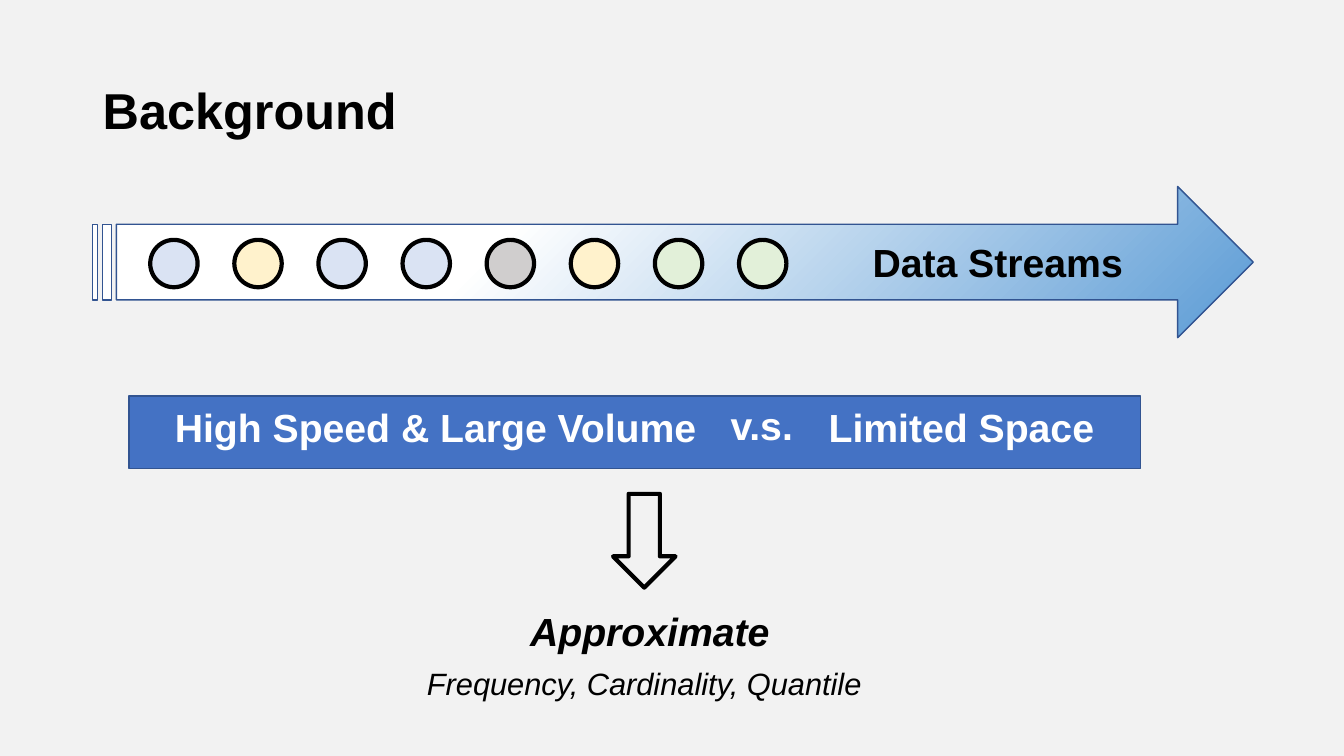
"""Build the Background slide about data streams."""
from pptx import Presentation, oxml
from pptx import util as u
from pptx.dml import color
from pptx.enum import shapes, text
from pptx.oxml import ns

KIND = shapes.MSO_SHAPE
INK, EDGE, WHITE = "000000", "325491", "FFFFFF"


def rgb(code):
    return color.RGBColor.from_string(code)


class Page:
    """Hold the style and the current slide."""

    font = "Arial"

    def __init__(self, deck, back):
        self.slide = deck.slides.add_slide(deck.slide_layouts[6])
        fill = self.slide.background.fill
        fill.solid()
        fill.fore_color.rgb = rgb(back)

    def shape(self, kind, box, fill=None, line=INK, width=3):
        item = self.slide.shapes.add_shape(kind, *map(u.Inches, box))
        item.shadow.inherit = False
        item.line.color.rgb = rgb(line)
        item.line.width = u.Pt(width)
        if fill:
            item.fill.solid()
            item.fill.fore_color.rgb = rgb(fill)
        else:
            item.fill.background()
        return item

    def fade(self, item, stops):
        item.fill.gradient()
        props = item._element.spPr
        marks = "".join(
            f'<a:gs pos="{at * 1000}"><a:srgbClr val="{code}"/></a:gs>'
            for at, code in stops)
        grad = oxml.parse_xml(
            f'<a:gradFill {ns.nsdecls("a")} rotWithShape="1">'
            f'<a:gsLst>{marks}</a:gsLst><a:path path="circle">'
            '<a:fillToRect r="100000" b="100000"/></a:path></a:gradFill>')
        props.replace(props.find(ns.qn("a:gradFill")), grad)

    def label(self, words, box, size=28, ink=INK, bold=True, slant=False,
              align=text.PP_ALIGN.CENTER, grow=True):
        item = self.slide.shapes.add_textbox(*map(u.Inches, box))
        frame = item.text_frame
        frame.word_wrap = True
        if grow:
            frame.auto_size = text.MSO_AUTO_SIZE.SHAPE_TO_FIT_TEXT
        else:
            frame.vertical_anchor = text.MSO_ANCHOR.MIDDLE
        para = frame.paragraphs[0]
        para.text = words
        para.alignment = align
        font = para.font
        font.name, font.size = self.font, u.Pt(size)
        font.bold, font.italic = bold, slant
        font.color.rgb = rgb(ink)
        return para


def main():
    deck = Presentation()
    deck.slide_width, deck.slide_height = u.Inches(13.33), u.Inches(7.5)
    page = Page(deck, "F2F2F2")

    title = page.label("Background", (0.92, 0.4, 11.5, 1.45), 36,
                       align=text.PP_ALIGN.LEFT, grow=False)
    title.line_spacing = 0.9

    stream = page.shape(KIND.STRIPED_RIGHT_ARROW, (0.92, 1.85, 11.51, 1.5),
                        line=EDGE, width=1)
    page.fade(stream, [(0, WHITE), (35, WHITE), (100, "5B9BD5")])
    page.label("Data Streams", (8.48, 2.32, 2.83, 0.57))

    blue, gold, gray, green = "DAE3F3", "FFF2CC", "D0CECE", "E2F0D9"
    items = [blue, gold, blue, blue, gray, gold, green, green]
    step = (7.33 - 1.49) / (len(items) - 1)
    for i, fill in enumerate(items):
        page.shape(KIND.OVAL, (1.49 + i * step, 2.38, 0.47, 0.47), fill)

    page.shape(KIND.RECTANGLE, (1.28, 3.93, 10.03, 0.72), "4472C4", EDGE, 1)
    for words, left, top, width in (
            ("High Speed & Large Volume", 1.49, 3.95, 5.66),
            ("Limited Space", 7.96, 3.95, 3.15),
            ("v.s.", 6.67, 3.93, 1.77)):
        page.label(words, (left, top, width, 0.57), ink=WHITE)

    page.shape(KIND.DOWN_ARROW, (6.08, 4.9, 0.62, 0.93))
    page.label("Approximate", (5.03, 5.98, 2.83, 0.57), slant=True)
    page.label("Frequency, Cardinality, Quantile", (3.67, 6.55, 5.44, 0.47),
               22, bold=False, slant=True)
    deck.save("out.pptx")


if __name__ == "__main__":
    main()
